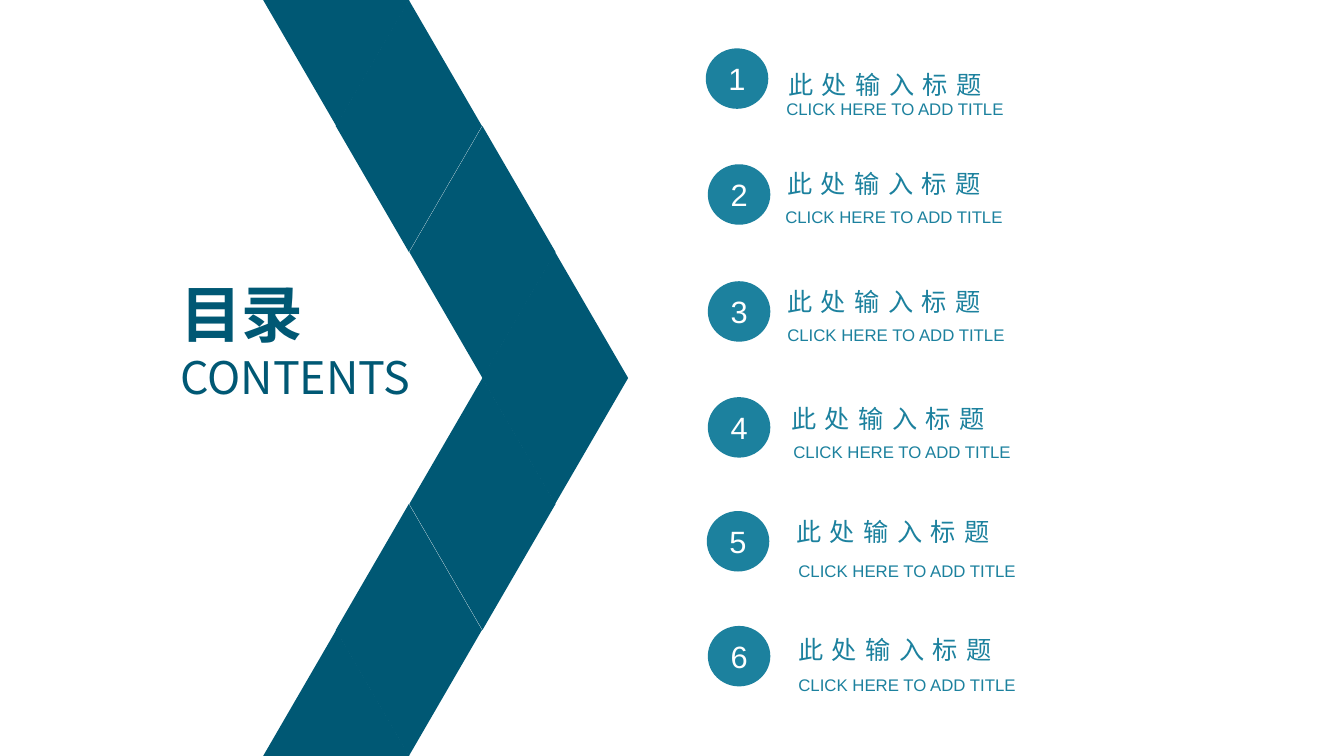
from lxml.etree import SubElement
from pptx import Presentation
from pptx.dml.color import RGBColor
from pptx.enum.shapes import MSO_SHAPE
from pptx.enum.text import MSO_ANCHOR, PP_ALIGN
from pptx.oxml.ns import qn
from pptx.util import Pt

PX = 9144  # 100 px to the inch
NAVY, TEAL, WHITE = "005874", "1C819E", "FFFFFF"
LATIN, HEADING = "Arial", "Noto Sans CJK SC"


def color(value):
    return RGBColor.from_string(value)


class ContentsSlide:
    def __init__(self, deck):
        self.slide = deck.slides.add_slide(deck.slide_layouts[6])

    def shape(self, kind, left, top, width, height, fill):
        item = self.slide.shapes.add_shape(kind, left * PX, top * PX, width * PX, height * PX)
        item.shadow.inherit = False
        item.fill.solid()
        item.fill.fore_color.rgb = color(fill)
        item.line.fill.background()
        return item

    def run(self, paragraph, text, size, fill, font=LATIN, bold=False, spacing=0):
        run = paragraph.add_run()
        run.text = text
        run.font.size = Pt(size)
        run.font.bold = bold
        run.font.name = font
        run.font.color.rgb = color(fill)
        properties = run.font._element
        SubElement(properties, qn("a:ea")).set("typeface", font)
        if spacing:
            properties.set("spc", str(spacing * 100))

    def text(self, left, top, width, height):
        box = self.slide.shapes.add_textbox(left * PX, top * PX, width * PX, height * PX)
        box.text_frame.word_wrap = True
        return box.text_frame.paragraphs[0]

    def triangle(self, column, row, points_down):
        left = round(261 + 72.4 * column)
        item = self.shape(MSO_SHAPE.ISOSCELES_TRIANGLE, left, 125 * row, 145, 125, NAVY)
        item.rotation = 180 if points_down else 0

    def badge(self, left, top, number):
        frame = self.shape(MSO_SHAPE.OVAL, left, top, 62, 60, TEAL).text_frame
        frame.vertical_anchor = MSO_ANCHOR.MIDDLE
        paragraph = frame.paragraphs[0]
        paragraph.alignment = PP_ALIGN.CENTER
        self.run(paragraph, str(number), 22, WHITE)


def main():
    deck = Presentation()
    deck.slide_width, deck.slide_height = 1333 * PX, 750 * PX
    contents = ContentsSlide(deck)

    # Chevron: two triangles in each of six rows
    for row in range(6):
        upper = row < 3
        column = row if upper else 5 - row
        contents.triangle(column, row, upper)
        contents.triangle(column + 1, row, not upper)

    # Heading
    heading = contents.text(169, 269, 293, 138)
    contents.run(heading, "目录", 44, NAVY, HEADING, bold=True)
    heading.add_line_break()
    contents.run(heading, "CONTENTS", 32, NAVY, HEADING)

    # Entries: left and top of badge, title (with width) and subtitle
    entries = [
        ((700, 48), (772, 64, 568), (770, 93)),
        ((702, 163), (771, 162, 364), (769, 200)),
        ((702, 279), (771, 279, 368), (771, 317)),
        ((702, 394), (775, 395, 368), (777, 433)),
        ((701, 507), (780, 507, 368), (782, 551)),
        ((702, 621), (782, 624, 368), (782, 664)),
    ]
    for number, (badge, title, subtitle) in enumerate(entries, 1):
        contents.badge(*badge, number)
        contents.run(contents.text(*title, 40), "此处输入标题", 18, TEAL, spacing=6)
        contents.run(contents.text(*subtitle, 368, 30), "CLICK HERE TO ADD TITLE", 12, TEAL)

    deck.save("out.pptx")


if __name__ == "__main__":
    main()
